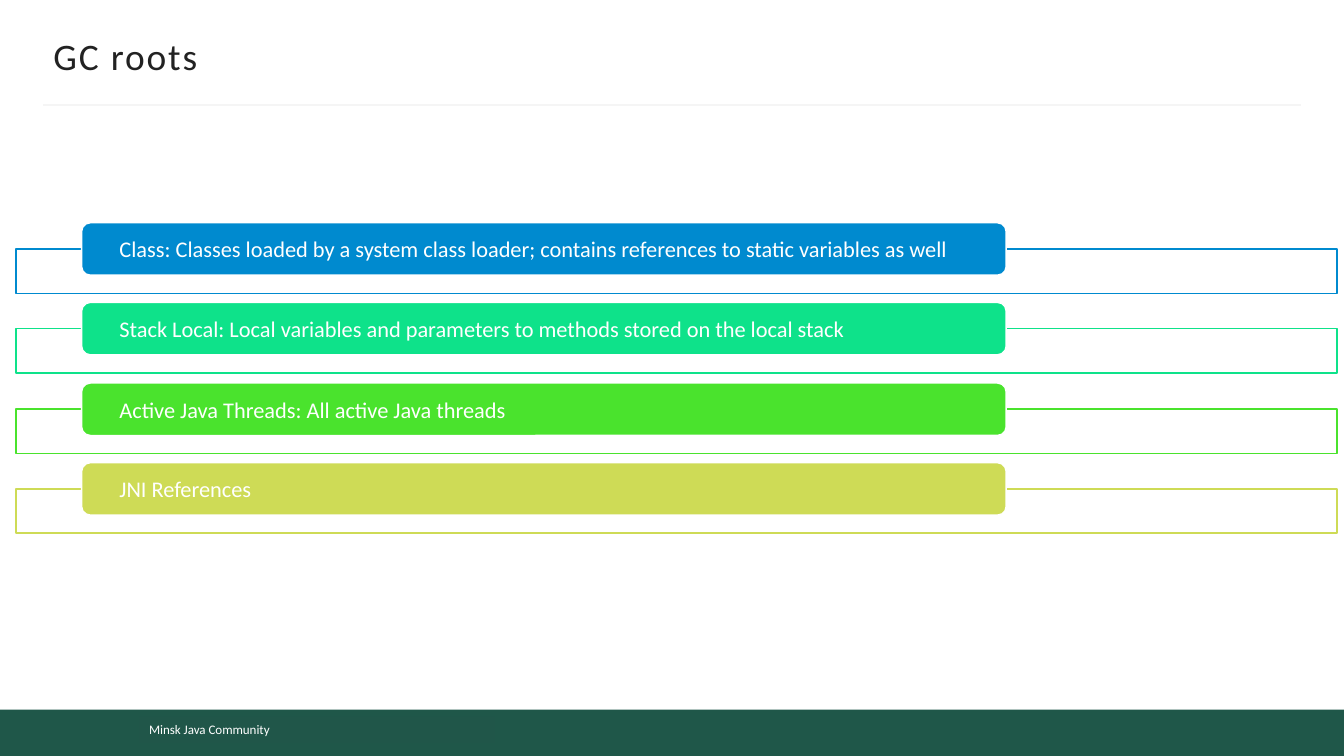
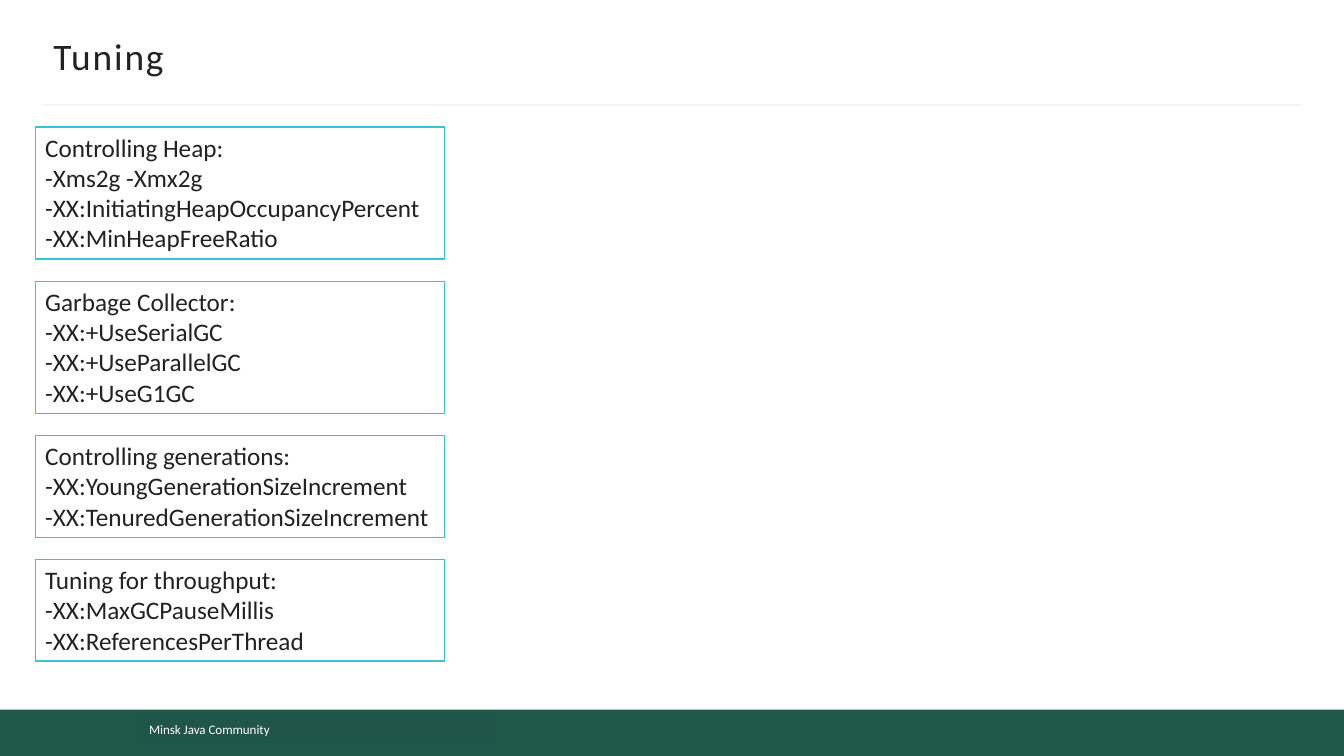
from dataclasses import dataclass

from lxml import etree
from pptx import Presentation
from pptx.dml.color import RGBColor
from pptx.enum.shapes import MSO_CONNECTOR, MSO_SHAPE
from pptx.enum.text import MSO_ANCHOR, PP_ALIGN
from pptx.oxml.ns import qn
from pptx.util import Emu, Pt

RECTANGLE = MSO_SHAPE.RECTANGLE
ROUNDED = MSO_SHAPE.ROUNDED_RECTANGLE
STRAIGHT = MSO_CONNECTOR.STRAIGHT
TOP = MSO_ANCHOR.TOP
MIDDLE = MSO_ANCHOR.MIDDLE
LEFT = PP_ALIGN.LEFT

EMU_PER_PX = 9144
SLIDE_WIDTH = 1333
SLIDE_HEIGHT = 750


@dataclass(frozen=True)
class Theme:
    font: str = "Calibri"
    ink: str = "222222"
    white: str = "FFFFFF"
    footer: str = "1F5749"
    footer_label: str = "205649"
    rule: str = "F5F5F5"
    card_line: str = "39C2D7"
    title_size: float = 26.7
    card_size: float = 18
    bar_size: float = 16
    footer_size: float = 9.3
    title_spacing: int = 130


def px(length):
    return Emu(length * EMU_PER_PX)


class Deck:
    def __init__(self, theme):
        self.theme = theme
        self.presentation = Presentation()
        self.presentation.slide_width = px(SLIDE_WIDTH)
        self.presentation.slide_height = px(SLIDE_HEIGHT)
        self.slide = None

    def add_slide(self, title):
        theme = self.theme
        self.slide = self.presentation.slides.add_slide(
            self.presentation.slide_layouts[6])
        self.box(0, 704, SLIDE_WIDTH, 46, theme.footer)
        label = self.box(138, 711, 353, 26, theme.footer_label)
        self.text(label, ["Minsk Java Community"], theme.footer_size, theme.white)
        self.rule(43, 104, 1290)
        self.title(title)

    def box(self, left, top, width, height, fill, line=None, kind=RECTANGLE):
        shape = self.slide.shapes.add_shape(
            kind, px(left), px(top), px(width), px(height))
        shape.shadow.inherit = False
        shape.fill.solid()
        shape.fill.fore_color.rgb = RGBColor.from_string(fill)
        if line:
            shape.line.color.rgb = RGBColor.from_string(line)
            shape.line.width = Pt(1)
        else:
            shape.line.fill.background()
        return shape

    def rule(self, left, top, right):
        connector = self.slide.shapes.add_connector(
            STRAIGHT, px(left), px(top), px(right), px(top))
        connector.line.color.rgb = RGBColor.from_string(self.theme.rule)
        connector.line.width = Pt(1.5)
        etree.SubElement(connector._element.spPr, qn("a:effectLst"))

    def text(self, shape, lines, size, color, anchor=TOP, inset_x=10, inset_y=5,
             spacing=None):
        frame = shape.text_frame
        frame.word_wrap = True
        frame.vertical_anchor = anchor
        frame.margin_left = frame.margin_right = px(inset_x)
        frame.margin_top = frame.margin_bottom = px(inset_y)
        for index, line in enumerate(lines):
            paragraph = frame.add_paragraph() if index else frame.paragraphs[0]
            paragraph.alignment = LEFT
            run = paragraph.add_run()
            run.text = line
            run.font.name = self.theme.font
            run.font.size = Pt(size)
            run.font.color.rgb = RGBColor.from_string(color)
            if spacing:
                run.font._element.set("spc", str(spacing))

    def title(self, title):
        theme = self.theme
        shape = self.slide.shapes.add_textbox(px(53), px(33), px(1229), px(44))
        self.text(shape, [title], theme.title_size, theme.ink, MIDDLE,
                  inset_x=0, spacing=theme.title_spacing)

    def labelled_band(self, top, label, color):
        theme = self.theme
        frame = self.box(16, top + 26, 1310, 44, theme.white, color)
        fill_color = frame._element.spPr.find(qn("a:solidFill"))[0]
        etree.SubElement(fill_color, qn("a:alpha"), val="90000")
        bar = self.box(81, top, 917, 52, color, theme.white, ROUNDED)
        self.text(bar, [label], theme.bar_size, theme.white, MIDDLE,
                  inset_x=35, inset_y=0)

    def card(self, left, top, width, height, lines):
        theme = self.theme
        shape = self.box(left, top, width, height, theme.white, theme.card_line)
        self.text(shape, lines, theme.card_size, theme.ink)


ROOTS = [
    ("Class: Classes loaded by a system class loader; "
     "contains references to static variables as well", "008ACF"),
    ("Stack Local: Local variables and parameters to methods "
     "stored on the local stack", "0EE28A"),
    ("Active Java Threads: All active Java threads", "4AE32D"),
    ("JNI References", "CEDB56"),
]

OPTIONS = [
    ["Controlling Heap:", "-Xms2g -Xmx2g",
     "-XX:InitiatingHeapOccupancyPercent", "-XX:MinHeapFreeRatio"],
    ["Garbage Collector:", "-XX:+UseSerialGC",
     "-XX:+UseParallelGC", "-XX:+UseG1GC"],
    ["Controlling generations:", "-XX:YoungGenerationSizeIncrement",
     "-XX:TenuredGenerationSizeIncrement"],
    ["Tuning for throughput:", "-XX:MaxGCPauseMillis",
     "-XX:ReferencesPerThread"],
]


def build_roots(deck):
    deck.add_slide("GC roots")
    first_top, last_top = 221, 459
    for index, (label, color) in enumerate(ROOTS):
        offset = round((last_top - first_top) * index / (len(ROOTS) - 1))
        deck.labelled_band(first_top + offset, label, color)


def build_tuning(deck):
    deck.add_slide("Tuning")
    top, gap, line_height, padding = 126, 22, 30, 11
    for lines in OPTIONS:
        height = padding + line_height * len(lines)
        deck.card(35, top, 406, height, lines)
        top += height + gap


def main():
    deck = Deck(Theme())
    build_roots(deck)
    build_tuning(deck)
    deck.presentation.save("out.pptx")


if __name__ == "__main__":
    main()
